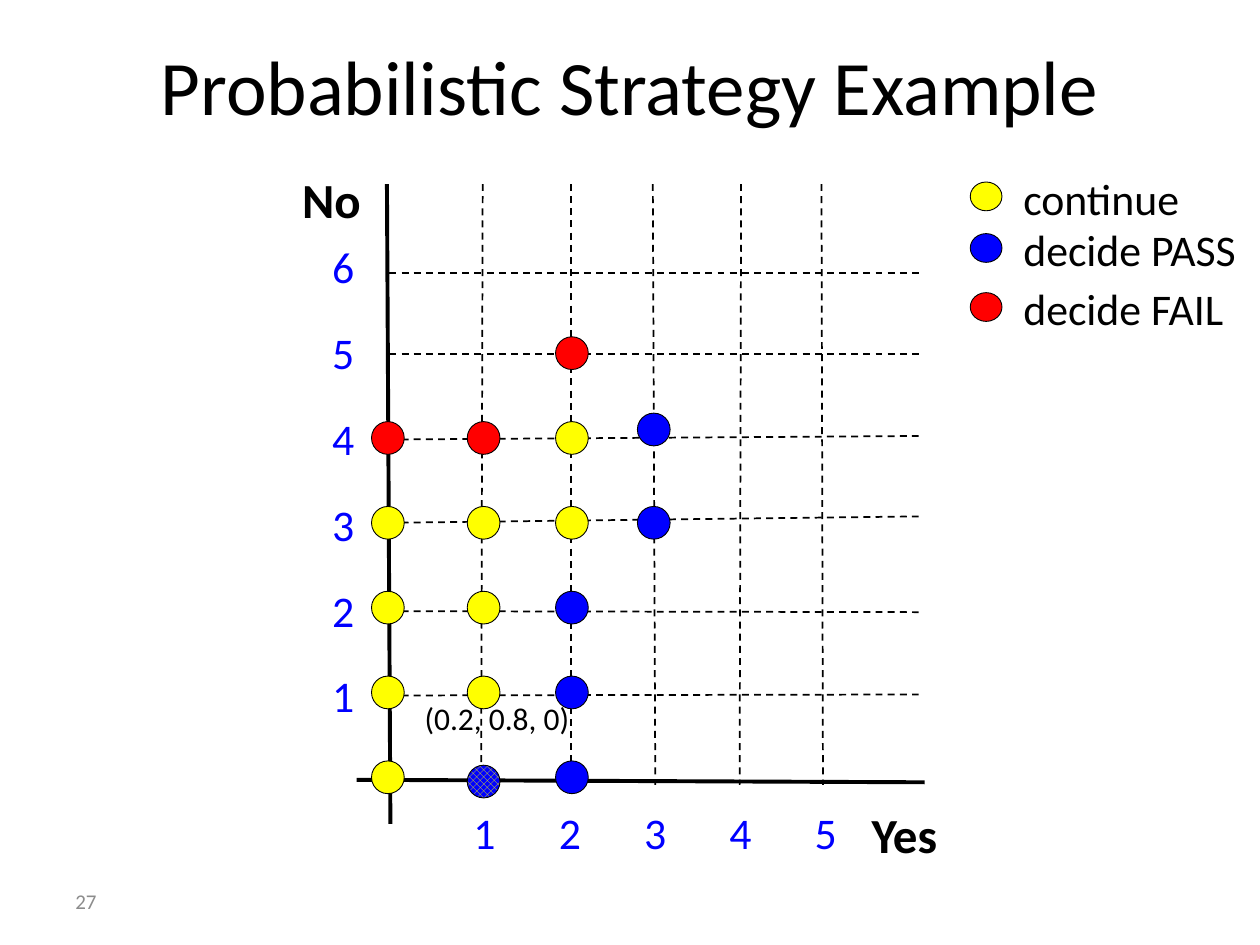
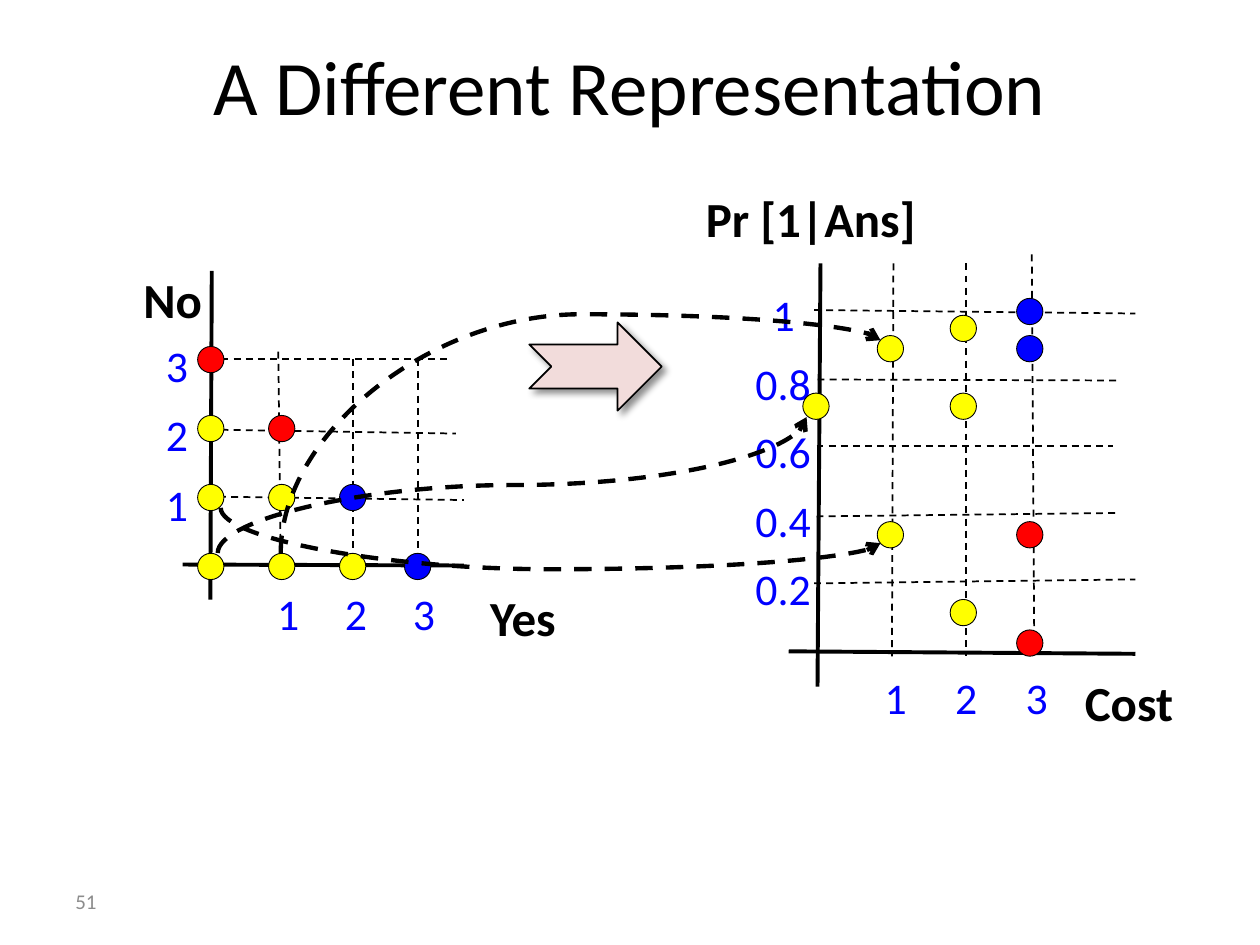
from lxml.etree import SubElement
from pptx import Presentation
from pptx.dml.color import RGBColor
from pptx.enum.dml import MSO_LINE, MSO_PATTERN
from pptx.enum.shapes import MSO_CONNECTOR as Link, MSO_SHAPE as Preset
from pptx.enum.text import MSO_ANCHOR, MSO_AUTO_SIZE, PP_ALIGN
from pptx.oxml.ns import qn
from pptx.util import Cm, Pt

FONT = "Calibri"
BLACK, GRAY, LABEL_BLUE = "000000", "8C8C8C", "0000FF"
YELLOW, BLUE, RED, ROSE = "FFFF00", "0000FF", "FF0000", "F2DCDB"
MIXED = "mixed"
WIDE_INSET, NORMAL_INSET, NARROW_INSET = (0.36, 0.18), (0.25, 0.13), (0.18, 0.1)

COLUMN_ENDS = [(9.73, 9.7), (11.51, 11.51), (13.16, 13.21), (14.94, 14.91), (16.56, 16.59)]
ROW_ENDS = [(14.02, 14), (12.32, 12.34), (10.54, 10.41), (8.86, 8.79), (7.14, 7.14), (5.51, 5.51)]

STRATEGY = dict(
    axes=[(7.8, 3.71, 7.87, 16.61), (7.19, 15.72, 18.64, 15.77)],
    grid=[(top, 3.71, bottom, 15.82) for top, bottom in COLUMN_ENDS]
    + [(7.85, left, 18.52, right) for left, right in ROW_ENDS],
    x_ticks=(["1", "2", "3", "4", "5"], 9.78, 16.12, 1.72),
    y_ticks=(["1", "2", "3", "4", "5", "6"], 6.93, 13.36, 1.73),
    tick_sizes=(0.97, 1.32), inset=NORMAL_INSET,
    names=[("Yes", 17.32, 16.08, 1.96, 1.45), ("No", 5.84, 3.28, 1.7, 1.45)],
    columns=[7.82, 9.75, 11.53, 13.18], base=15.67, step=1.71, dot_size=0.66,
    dots={
        MIXED: [(1, -0.05)],
        YELLOW: [(0, 0), (0, 1), (1, 1), (0, 2), (1, 2), (0, 3), (1, 3), (2, 3), (2, 4)],
        BLUE: [(2, 0), (2, 1), (2, 2), (3, 3), (3, 4.1)],
        RED: [(0, 4), (1, 4), (2, 5)],
    },
)
ANSWERS = dict(
    axes=[(4.27, 5.46, 4.24, 12.09), (3.68, 11.38, 9.35, 11.4)],
    grid=[(5.61, 7.09, 5.66, 11.48), (7.11, 7.24, 7.11, 11.48), (8.43, 7.24, 8.43, 11.46),
          (4.17, 10.01, 9.35, 10.08), (4.22, 8.66, 9.19, 8.74), (4.22, 7.24, 9.04, 7.24)],
    x_ticks=(["1", "2", "3"], 5.82, 11.7, 1.37),
    y_ticks=(["1", "2", "3"], 3.58, 9.5, 1.4),
    tick_sizes=(0.97, 1.32), inset=NORMAL_INSET,
    names=[("Yes", 9.63, 11.71, 1.96, 1.45), ("No", 2.64, 5.31, 1.7, 1.45)],
    columns=[4.25, 5.68, 7.11, 8.42], base=11.42, step=1.39, dot_size=0.53,
    dots={
        YELLOW: [(0, 0), (1, 0), (2, 0), (0, 1), (1, 1), (0, 2)],
        BLUE: [(3, 0), (2, 1)],
        RED: [(1, 2), (0, 3)],
    },
)
PROBABILITY = dict(
    axes=[(16.54, 5.31, 16.48, 13.84), (15.9, 13.13, 22.89, 13.18)],
    grid=[(18.01, 5.31, 17.98, 13.23), (19.48, 5.31, 19.48, 13.23), (20.8, 5.13, 20.85, 13.13),
          (16.41, 11.76, 22.89, 11.68), (16.46, 10.41, 22.58, 10.34), (16.46, 8.99, 22.43, 8.99),
          (16.48, 7.65, 22.58, 7.67), (16.41, 6.25, 22.89, 6.32)],
    x_ticks=(["1", "2", "3"], 18.06, 13.43, 1.42),
    y_ticks=(["0.2", "0.4", "0.6", "0.8", "1"], 15.8, 11.23, 1.38),
    tick_sizes=(0.81, 1.24), inset=NARROW_INSET,
    names=[("Cost", 21.69, 13.46, 2.16, 1.37), ("Pr [1|Ans]", 14.05, 3.71, 4.65, 1.37)],
    columns=[16.45, 17.95, 19.42, 20.76], base=13.1, step=6.82, dot_size=0.53,
    dots={
        YELLOW: [(0, 0.72), (1, 0.89), (1, 0.34), (2, 0.95), (2, 0.72), (2, 0.11)],
        BLUE: [(3, 1), (3, 0.89)],
        RED: [(3, 0.34), (3, 0.02)],
    },
)
DECIMAL_TICK_WIDTH = 1.5
LEGEND = [("continue", YELLOW, 3.28, 3.91), ("decide PASS", BLUE, 4.32, 5.13),
          ("decide FAIL", RED, 5.51, 4.85)]
MAPPINGS = [(5.66, 11.15, 17.75, 6.86, 1.122), (4.45, 10.24, 17.75, 10.95, 1.741),
            (4.39, 11.15, 16.26, 8.41, 0.5)]


def rgb(value):
    return RGBColor.from_string(value)


def add_text(slide, text, left, top, width, height, size, color=BLACK, bold=False,
             inset=NORMAL_INSET, wrap=False, align=PP_ALIGN.LEFT, anchor=MSO_ANCHOR.TOP):
    box = slide.shapes.add_textbox(Cm(left), Cm(top), Cm(width), Cm(height))
    frame = box.text_frame
    frame.word_wrap = wrap
    if anchor == MSO_ANCHOR.TOP:
        frame.auto_size = MSO_AUTO_SIZE.SHAPE_TO_FIT_TEXT
    frame.vertical_anchor = anchor
    frame.margin_left = frame.margin_right = Cm(inset[0])
    frame.margin_top = frame.margin_bottom = Cm(inset[1])
    paragraph = frame.paragraphs[0]
    paragraph.alignment = align
    run = paragraph.add_run()
    run.text = text
    run.font.name, run.font.size, run.font.bold = FONT, Pt(size), bold
    run.font.color.rgb = rgb(color)


def add_line(slide, ends, weight, dashed=False, link=Link.STRAIGHT):
    line = slide.shapes.add_connector(link, *[Cm(value) for value in ends])
    line.line.color.rgb = rgb(BLACK)
    line.line.width = Pt(weight)
    if dashed:
        line.line.dash_style = MSO_LINE.DASH
    SubElement(line._element.spPr, qn("a:effectLst"))
    return line


def add_preset(slide, preset, left, top, width, height, fill, weight):
    shape = slide.shapes.add_shape(preset, Cm(left), Cm(top), Cm(width), Cm(height))
    shape.shadow.inherit = False
    if fill == MIXED:
        shape.fill.patterned()
        shape.fill.pattern = MSO_PATTERN.LARGE_CHECKER_BOARD
        shape.fill.fore_color.rgb, shape.fill.back_color.rgb = rgb(YELLOW), rgb(BLUE)
    else:
        shape.fill.solid()
        shape.fill.fore_color.rgb = rgb(fill)
    shape.line.color.rgb = rgb(BLACK)
    shape.line.width = Pt(weight)
    return shape


def add_plot(slide, plot):
    for ends in plot["axes"]:
        add_line(slide, ends, 2.25)
    for ends in plot["grid"]:
        add_line(slide, ends, 1, dashed=True)

    tick_width, tick_height = plot["tick_sizes"]
    for key, across, up in (("x_ticks", 1, 0), ("y_ticks", 0, 1)):
        ticks, center, top, step = plot[key]
        for index, tick in enumerate(ticks):
            width = tick_width if len(tick) == 1 else DECIMAL_TICK_WIDTH
            add_text(slide, tick, center + across * index * step - width / 2,
                     top - up * index * step, width, tick_height, 25, LABEL_BLUE,
                     inset=plot["inset"])
    for name, *place in plot["names"]:
        add_text(slide, name, *place, 28, bold=True, inset=plot["inset"])

    size = plot["dot_size"]
    for fill, dots in plot["dots"].items():
        for column, value in dots:
            left = plot["columns"][column] - size / 2
            top = plot["base"] - plot["step"] * value - size / 2
            add_preset(slide, Preset.OVAL, left, top, size, size, fill, 0.5)


def add_legend(slide):
    for decision, fill, top, width in LEGEND:
        add_text(slide, decision, 20.27, top, width, 1.42, 25, inset=WIDE_INSET)
        add_preset(slide, Preset.OVAL, 19.56, top + 0.39, 0.64, 0.58, fill, 0.5)


def add_mapping(slide, x1, y1, x2, y2, bend):
    rising = y2 < y1
    width, height = abs(y2 - y1), x2 - x1
    left, top = (x1 + x2 - width) / 2, (y1 + y2 - height) / 2
    curve = add_line(slide, (left, top, left + width, top + height), 2.5, True, Link.CURVE)
    properties = curve._element.spPr
    frame = properties.find(qn("a:xfrm"))
    frame.set("rot", str((90 if rising else 270) * 60000))
    frame.set("flipH", "1")
    if rising:
        frame.set("flipV", "1")
    geometry = properties.find(qn("a:prstGeom"))
    adjustments = geometry.find(qn("a:avLst"))
    if adjustments is None:
        adjustments = SubElement(geometry, qn("a:avLst"))
    SubElement(adjustments, qn("a:gd"), name="adj1", fmla=f"val {round(bend * 100000)}")
    SubElement(properties.find(qn("a:ln")), qn("a:tailEnd"), type="arrow")


def add_transform_arrow(slide):
    arrow = add_preset(slide, Preset.NOTCHED_RIGHT_ARROW, 10.67, 6.5, 2.67, 1.78, ROSE, 1)
    effects = arrow._element.spPr.find(qn("a:effectLst"))
    shadow = SubElement(effects, qn("a:outerShdw"), blurRad=str(Pt(4)), dist=str(Pt(3)),
                        dir=str(45 * 60000), algn="tl", rotWithShape="0")
    shade = SubElement(shadow, qn("a:srgbClr"), val=BLACK)
    SubElement(shade, qn("a:alpha"), val="43000")


def new_slide(deck, title, number):
    slide = deck.slides.add_slide(deck.slide_layouts[6])
    add_text(slide, title, 1.27, 0.38, 22.86, 2.67, 44, wrap=True,
             align=PP_ALIGN.CENTER, anchor=MSO_ANCHOR.MIDDLE)
    add_text(slide, number, 1.27, 17.65, 5.92, 1.02, 12, GRAY, wrap=True,
             anchor=MSO_ANCHOR.MIDDLE)
    return slide


def main():
    deck = Presentation()
    deck.slide_width, deck.slide_height = Cm(25.4), Cm(19.05)

    example = new_slide(deck, "Probabilistic Strategy Example", "27")
    add_plot(example, STRATEGY)
    add_text(example, "(0.2, 0.8, 0)", 8.38, 14, 5.05, 0.94, 18, inset=NARROW_INSET, wrap=True)
    add_legend(example)

    representation = new_slide(deck, "A Different Representation", "51")
    add_plot(representation, PROBABILITY)
    add_plot(representation, ANSWERS)
    add_transform_arrow(representation)
    for mapping in MAPPINGS:
        add_mapping(representation, *mapping)

    deck.save("out.pptx")


if __name__ == "__main__":
    main()
